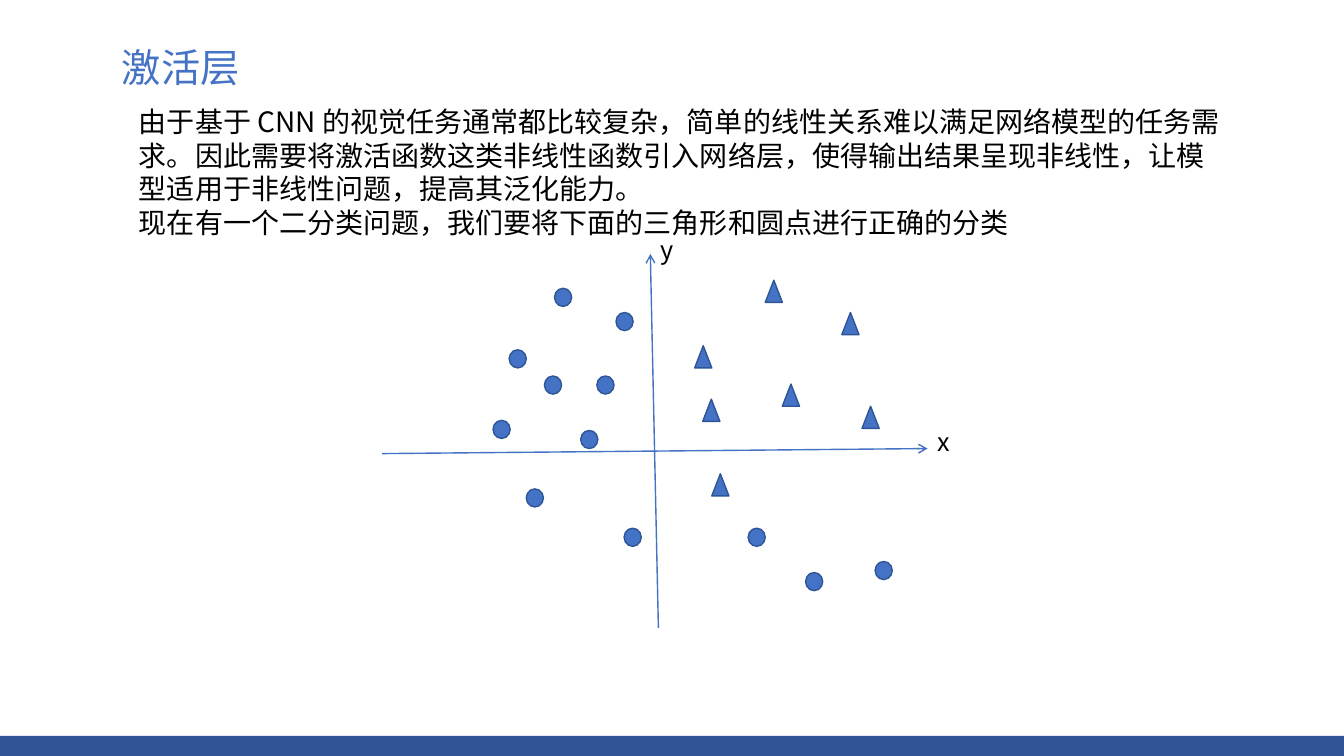
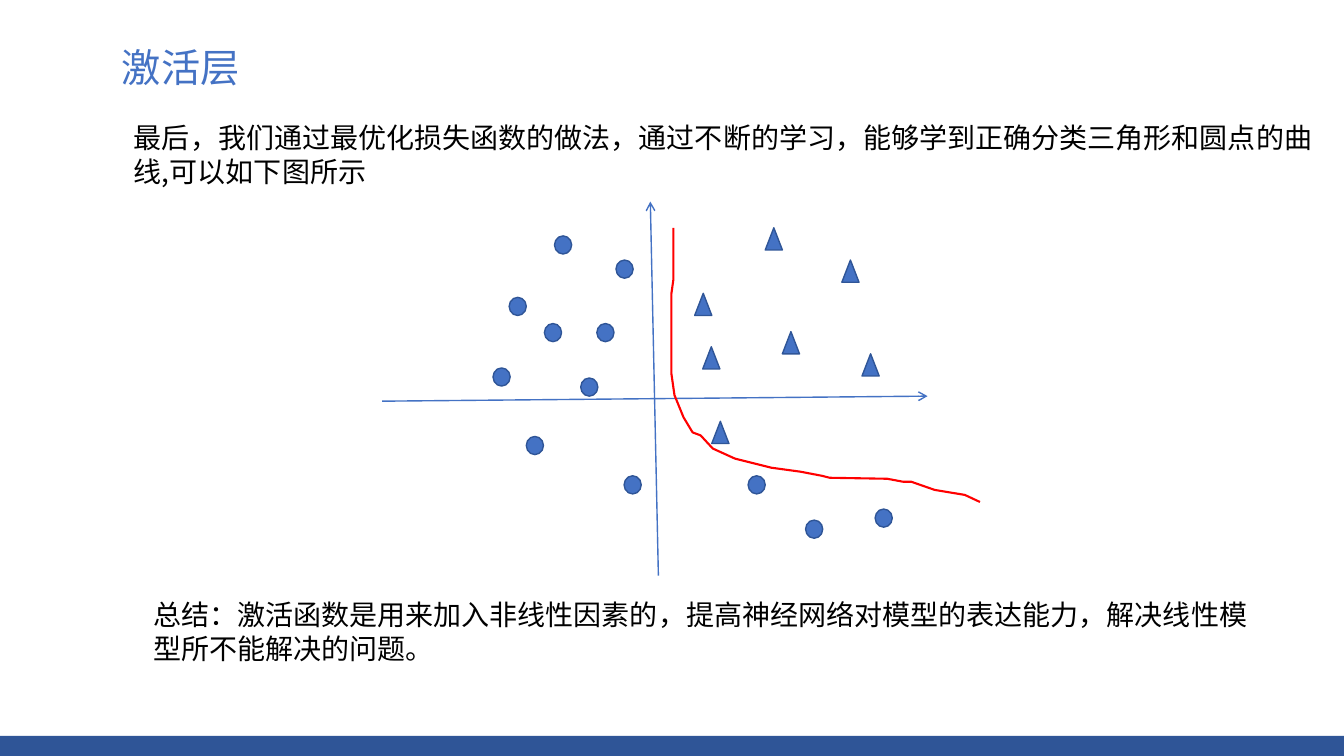
"""Build two slides on activation layers with a scatter of dots and triangles."""
from dataclasses import dataclass

import lxml.etree
import pptx
import pptx.dml.color
import pptx.enum.lang
import pptx.enum.shapes
import pptx.enum.text
import pptx.oxml.ns
import pptx.util

PX = 9144
WIDTH, HEIGHT = 1333, 750
TITLE_ONLY = 5
SHAPE = pptx.enum.shapes.MSO_SHAPE
CHINESE = pptx.enum.lang.MSO_LANGUAGE_ID.SIMPLIFIED_CHINESE
Pt = pptx.util.Pt
qn = pptx.oxml.ns.qn


@dataclass(frozen=True)
class Theme:
    font: str = "Noto Sans CJK SC"
    blue: str = "4472C4"
    navy: str = "2F5597"
    red: str = "FF0000"
    black: str = "000000"
    title_size: int = 28
    body_size: int = 20
    label_size: int = 18
    thin_line: float = 1
    curve_line: float = 1.5
    title_leading: int = 30
    body_leading: int = 24
    label_leading: int = 22


T = Theme()
TITLE = dict(size=T.title_size, leading=T.title_leading, color=T.blue)
BODY = dict(size=T.body_size, leading=T.body_leading)
LABEL = dict(size=T.label_size, leading=T.label_leading)

TITLE_BOX = (111, 43, 1149, 56)
BAND_BOX = (0, 730, WIDTH, 20)

X_AXIS = (379, 450, 920, 445)
Y_AXIS = (653, 623, 645, 252)

DOT_SIZE = (17, 18)
DOTS = [
    (550, 286), (489, 417), (505, 347), (592, 373), (611, 310), (540, 373),
    (522, 485), (576, 427), (619, 524), (742, 524), (799, 568), (868, 557),
]
TRIANGLE_SIZE = (17, 22)
TRIANGLES = [
    (759, 278), (835, 310), (689, 343), (776, 381), (697, 396), (855, 403),
    (706, 470),
]
MARKERS = [
    (SHAPE.OVAL, DOT_SIZE, DOTS),
    (SHAPE.ISOSCELES_TRIANGLE, TRIANGLE_SIZE, TRIANGLES),
]

BOUNDARY = [
    (668, 226), (668, 277), (666, 291), (666, 371), (669, 392), (678, 414),
    (687, 429), (695, 432), (707, 445), (729, 455), (765, 464), (794, 468),
    (815, 472), (823, 474), (880, 475), (896, 478), (904, 478), (927, 486),
    (957, 491), (972, 498),
]

SLIDES = [
    {
        "title": "激活层",
        "raise_by": 0,
        "boundary": [],
        "texts": [
            ((128, 99, 1103, 556), BODY, [
                "由于基于 CNN 的视觉任务通常都比较复杂，简单的线性关系难以满足网络模型的任务需求。"
                "因此需要将激活函数这类非线性函数引入网络层，使得输出结果呈现非线性，"
                "让模型适用于非线性问题，提高其泛化能力。",
                "现在有一个二分类问题，我们要将下面的三角形和圆点进行正确的分类",
            ]),
            ((920, 417, 444, 40), LABEL, ["x"]),
            ((645, 227, 444, 40), LABEL, ["y"]),
        ],
    },
    {
        "title": "激活层",
        "raise_by": 52,
        "boundary": BOUNDARY,
        "texts": [
            ((123, 115, 1192, 77), BODY, [
                "最后，我们通过最优化损失函数的做法，通过不断的学习，"
                "能够学到正确分类三角形和圆点的曲线,可以如下图所示",
            ]),
            ((142, 588, 1129, 77), BODY, [
                "总结：激活函数是用来加入非线性因素的，提高神经网络对模型的表达能力，"
                "解决线性模型所不能解决的问题。",
            ]),
        ],
    },
]


def emu(lengths):
    return [length * PX for length in lengths]


def rgb(color):
    return pptx.dml.color.RGBColor.from_string(color)


def write(sp, lines, *, size, leading, color=T.black):
    tf = sp.text_frame
    tf.word_wrap = True
    tf.auto_size = pptx.enum.text.MSO_AUTO_SIZE.NONE
    tf.vertical_anchor = pptx.enum.text.MSO_ANCHOR.TOP
    tf.text = "\n".join(lines)
    for p in tf.paragraphs:
        p.alignment = pptx.enum.text.PP_ALIGN.LEFT
        p.line_spacing = Pt(leading)
        p.space_before = Pt(0)
        for r in p.runs:
            r.font.size = Pt(size)
            r.font.color.rgb = rgb(color)
            r.font.name = T.font
            r.font.language_id = CHINESE
    for latin in list(sp.element.iter(qn("a:latin"))):
        latin.addnext(lxml.etree.Element(qn("a:ea"), typeface=T.font))


def set_line(sp, color, width):
    sp.line.color.rgb = rgb(color)
    sp.line.width = Pt(width)


def add_filled(s, kind, box, fill):
    sp = s.shapes.add_shape(kind, *emu(box))
    sp.shadow.inherit = False
    sp.fill.solid()
    sp.fill.fore_color.rgb = rgb(fill)
    return sp


def add_axis(s, x1, y1, x2, y2):
    straight = pptx.enum.shapes.MSO_CONNECTOR.STRAIGHT
    sp = s.shapes.add_connector(straight, *emu((x1, y1, x2, y2)))
    set_line(sp, T.blue, T.thin_line)
    sp_pr = sp.element.spPr
    lxml.etree.SubElement(sp_pr.find(qn("a:ln")), qn("a:tailEnd"), type="arrow")
    lxml.etree.SubElement(sp_pr, qn("a:effectLst"))


def add_scatter(s, raise_by):
    for x1, y1, x2, y2 in (X_AXIS, Y_AXIS):
        add_axis(s, x1, y1 - raise_by, x2, y2 - raise_by)
    for kind, size, places in MARKERS:
        for x, y in places:
            sp = add_filled(s, kind, (x, y - raise_by, *size), T.blue)
            set_line(sp, T.navy, T.thin_line)


def add_boundary(s, points):
    builder = s.shapes.build_freeform(*points[0], scale=PX)
    builder.add_line_segments(points[1:], close=False)
    sp = builder.convert_to_shape()
    sp.shadow.inherit = False
    sp.fill.background()
    set_line(sp, T.red, T.curve_line)


def add_title(s, text):
    sp = s.shapes.title
    sp.left, sp.top, sp.width, sp.height = emu(TITLE_BOX)
    write(sp, [text], **TITLE)


def move_band_to_layout(s):
    layout = s.slide_layout
    for ph in list(layout.placeholders)[1:]:
        layout.shapes.element.remove(ph.element)
    band = add_filled(s, SHAPE.RECTANGLE, BAND_BOX, T.navy)
    band.line.fill.background()
    layout.shapes.element.append(band.element)


def add_content(s, content):
    add_title(s, content["title"])
    add_scatter(s, content["raise_by"])
    if content["boundary"]:
        add_boundary(s, content["boundary"])
    for box, style, lines in content["texts"]:
        write(s.shapes.add_textbox(*emu(box)), lines, **style)


def main():
    prs = pptx.Presentation()
    prs.slide_width, prs.slide_height = emu((WIDTH, HEIGHT))
    layout = prs.slide_layouts[TITLE_ONLY]
    slides = [prs.slides.add_slide(layout) for _ in SLIDES]
    move_band_to_layout(slides[0])
    for s, content in zip(slides, SLIDES):
        add_content(s, content)
    prs.save("out.pptx")


if __name__ == "__main__":
    main()
